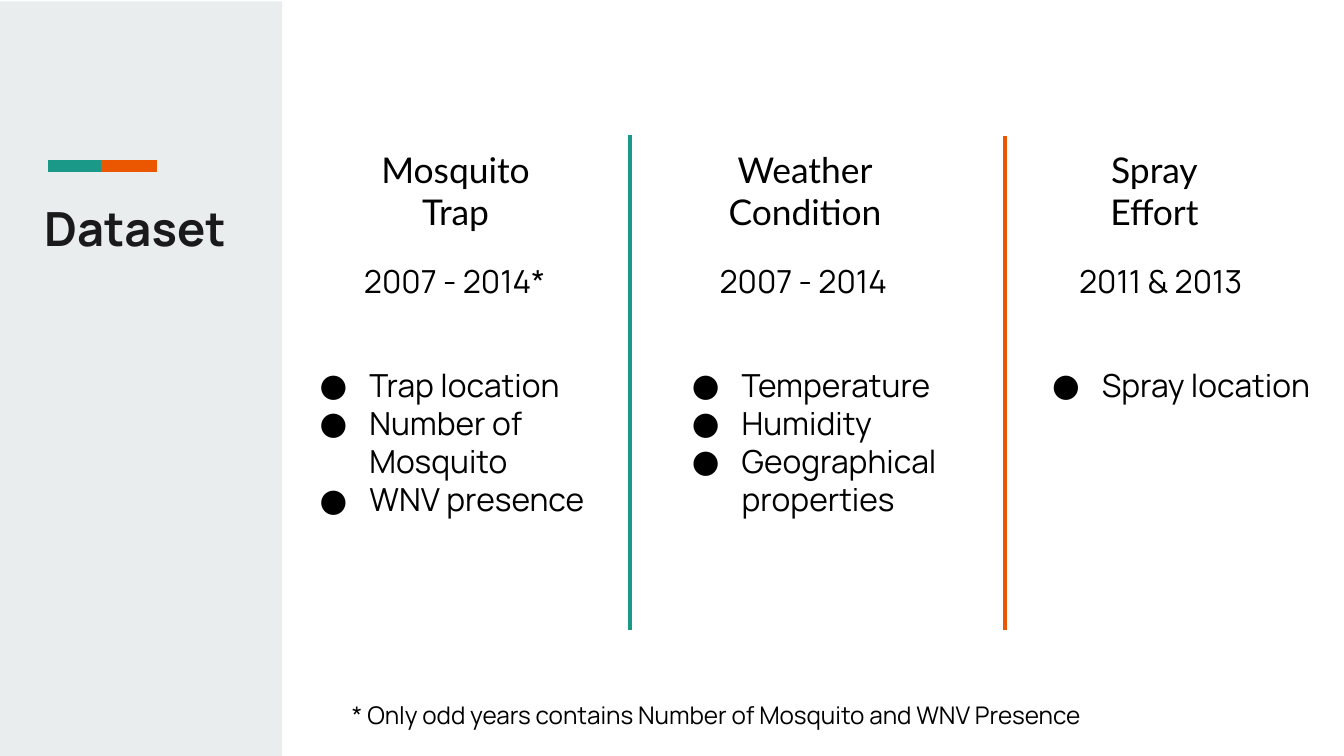
import pptx
import pptx.dml.color
import pptx.enum.shapes
import pptx.enum.text
import pptx.oxml
import pptx.util

PX = 4572  # 200 px to the inch
BLACK, TEAL, ORANGE = "000000", "1A9988", "EB5600"
ALIGN = pptx.enum.text.PP_ALIGN
HEAD = dict(size=19, name="Lato")
BODY = dict(size=17, name="Manrope")
NOTE = dict(size=13, name="Manrope")
TITLE = dict(size=25.2, name="Manrope", bold=True)

# left of heading, heading, (left, width) of date, date,
# (left, height) of list, items
COLS = [
    (530, ["Mosquito Trap"], (522, 328), "2007 - 2014*", (430, 326),
     ["Trap location", "Number of Mosquito", "WNV presence"]),
    (1050, ["Weather", "Condition"], (1051, 296), "2007 - 2014", (984, 270),
     ["Temperature", "Humidity", "Geographical properties"]),
    (1570, ["Spray", "Effort"], (1586, 296), "2011 & 2013", (1520, 98),
     ["Spray location"]),
]


def px(*nums):
    return [pptx.util.Emu(n * PX) for n in nums]


def rgb(code):
    return pptx.dml.color.RGBColor.from_string(code)


def add_panel(slide, box, color):
    kind = pptx.enum.shapes.MSO_SHAPE.RECTANGLE
    panel = slide.shapes.add_shape(kind, *px(*box))
    panel.shadow.inherit = False
    panel.fill.solid()
    panel.fill.fore_color.rgb = rgb(color)
    panel.line.fill.background()


def add_line(slide, ends, color, width):
    kind = pptx.enum.shapes.MSO_CONNECTOR.STRAIGHT
    line = slide.shapes.add_connector(kind, *px(*ends))
    line.line.color.rgb = rgb(color)
    line.line.width = pptx.util.Pt(width)
    props = line._element.spPr
    props.append(pptx.oxml.xmlchemy.OxmlElement("a:effectLst"))


def add_dot(para, face):
    props = para._p.get_or_add_pPr()
    left, hang = px(100, -74)
    props.set("marL", str(left))
    props.set("indent", str(hang))
    for tag, key, value in (("a:buFont", "typeface", face),
                            ("a:buChar", "char", "●")):
        part = pptx.oxml.xmlchemy.OxmlElement(tag)
        part.set(key, value)
        props.append(part)


def add_text(slide, box, lines, form, color=BLACK, align=ALIGN.LEFT, dots=False):
    frame = slide.shapes.add_textbox(*px(*box)).text_frame
    frame.word_wrap = True
    for side in ("left", "right", "top", "bottom"):
        setattr(frame, "margin_" + side, px(20)[0])
    for i, words in enumerate(lines):
        para = frame.add_paragraph() if i else frame.paragraphs[0]
        para.alignment = align
        if dots:
            add_dot(para, form["name"])
        run = para.add_run()
        run.text = words
        run.font.color.rgb = rgb(color)
        for key, value in form.items():
            setattr(run.font, key, pptx.util.Pt(value) if key == "size" else value)


def main():
    deck = pptx.Presentation()
    deck.slide_width, deck.slide_height = px(2000, 1125)
    slide = deck.slides.add_slide(deck.slide_layouts[6])

    # Side panel with title and accent bar
    add_panel(slide, (0, 2, 420, 1123), "E9EDEE")
    add_text(slide, (46, 277, 328, 118), ["Dataset"], TITLE, "1A1A1A")
    add_line(slide, (72, 247, 154, 247), TEAL, 6)
    add_line(slide, (151, 247, 234, 247), ORANGE, 6)

    # Column dividers
    add_line(slide, (938, 201, 938, 938), TEAL, 2.25)
    add_line(slide, (1496, 202, 1496, 938), ORANGE, 2.25)

    # Data columns
    for left, head, (start, width), date, (edge, tall), items in COLS:
        add_text(slide, (left, 200, 296, 168), head, HEAD, align=ALIGN.CENTER)
        add_text(slide, (start, 370, width, 98), [date], BODY)
        add_text(slide, (edge, 524, 466, tall), items, BODY, dots=True)

    # Footnote
    note = "* Only odd years contains Number of Mosquito and WNV Presence"
    add_text(slide, (504, 1022, 1288, 84), [note], NOTE)

    deck.save("out.pptx")


if __name__ == "__main__":
    main()
